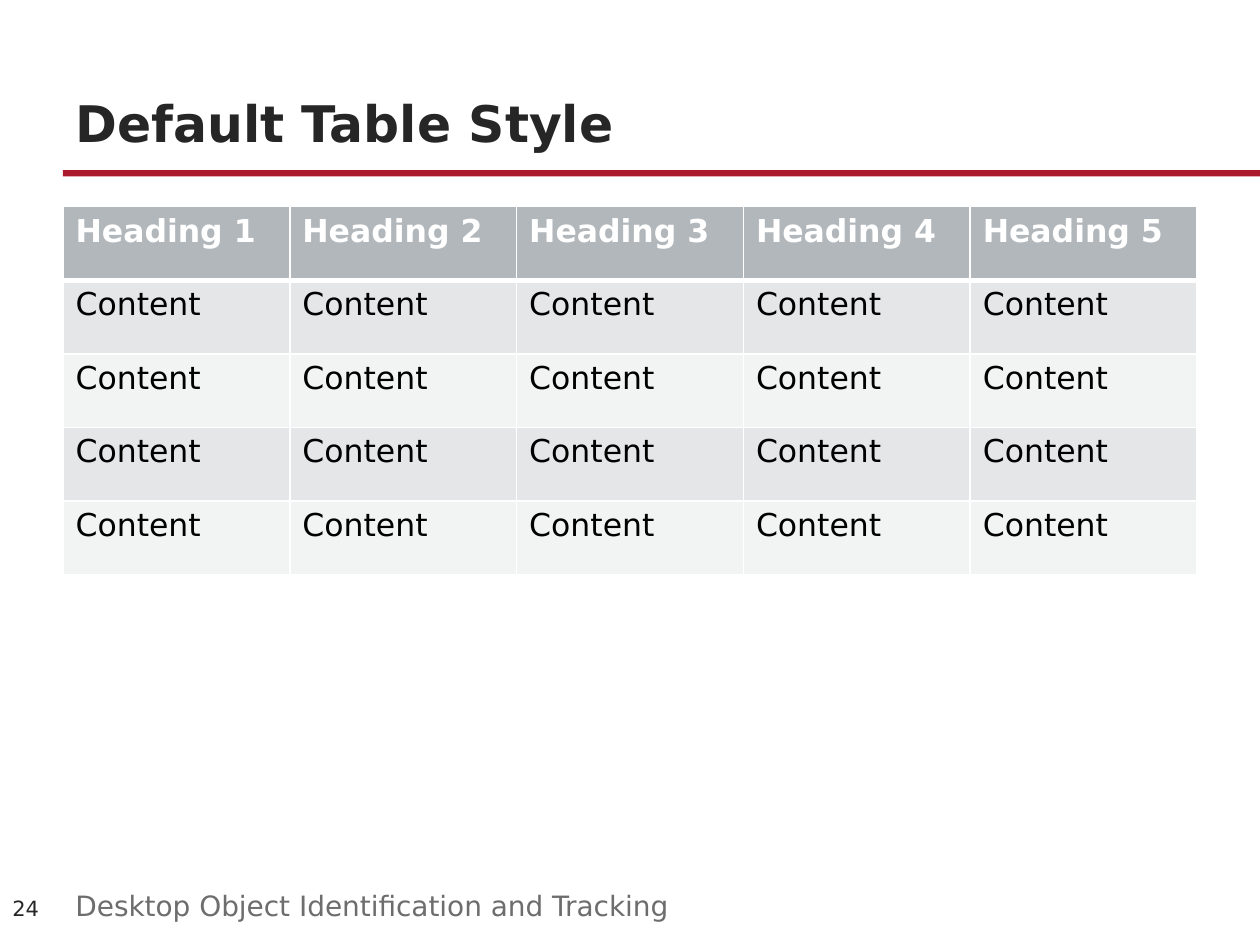
from dataclasses import dataclass

from lxml import etree
from pptx import Presentation
from pptx import util as u
from pptx.dml.color import RGBColor
from pptx.enum import shapes, text
from pptx.oxml.ns import qn


@dataclass(frozen=True)
class Theme:
    font: str = "DejaVu Sans"
    crimson: str = "AB192D"
    ink: str = "262626"
    muted: str = "6D6D6D"
    white: str = "FFFFFF"
    black: str = "000000"
    header: str = "B2B7BB"
    bands: tuple = ("E4E6E7", "F2F3F3")
    title_size: float = 28.8
    body_size: float = 18
    caption_size: float = 16
    number_size: float = 12


class SlideBuilder:
    """Places elements on a grid of half-inch columns and rows."""

    UNIT = u.Inches(0.5)

    def __init__(self, prs, theme):
        self.theme = theme
        self.s = prs.slides.add_slide(prs.slide_layouts[6])

    def grid(self, *lengths):
        return [round(n * self.UNIT) for n in lengths]

    def style(self, p, size, color, bold=False):
        for r in p.runs:
            r.font.name = self.theme.font
            r.font.size = u.Pt(size)
            r.font.bold = bold
            r.font.color.rgb = RGBColor.from_string(color)

    def bar(self, box, color):
        sp = self.s.shapes.add_shape(shapes.MSO_SHAPE.RECTANGLE, *self.grid(*box))
        sp.shadow.inherit = False
        sp.fill.solid()
        sp.fill.fore_color.rgb = RGBColor.from_string(color)
        sp.line.fill.background()

    def label(self, box, words, size, color, bold=False,
              anchor=text.MSO_ANCHOR.TOP):
        tf = self.s.shapes.add_textbox(*self.grid(*box)).text_frame
        tf.word_wrap = True
        tf.vertical_anchor = anchor
        tf.text = words
        self.style(tf.paragraphs[0], size, color, bold)

    def borders(self, cell, widths):
        """Draw white borders; widths are points for left, right, top, bottom."""
        props = cell._tc.get_or_add_tcPr()
        for i, (side, width) in enumerate(zip("LRTB", widths)):
            line = etree.Element(qn(f"a:ln{side}"), w=str(u.Pt(width)))
            fill = etree.SubElement(line, qn("a:solidFill"))
            etree.SubElement(fill, qn("a:srgbClr"), val=self.theme.white)
            props.insert(i, line)

    def table(self, box, rows):
        t = self.theme
        table = self.s.shapes.add_table(
            len(rows), len(rows[0]), *self.grid(*box)).table
        for i, row in enumerate(rows):
            heading = i == 0
            fill = t.header if heading else t.bands[(i - 1) % 2]
            for j, words in enumerate(row):
                cell = table.cell(i, j)
                cell.text = words
                cell.fill.solid()
                cell.fill.fore_color.rgb = RGBColor.from_string(fill)
                self.style(cell.text_frame.paragraphs[0], t.body_size,
                           t.white if heading else t.black, bold=heading)
                self.borders(cell, (1, 1, 3 if i == 1 else 1, 3 if heading else 1))


def main():
    prs = Presentation()
    prs.slide_width, prs.slide_height = u.Inches(10), u.Inches(7.5)
    t = Theme()
    slide = SlideBuilder(prs, t)

    slide.bar((1, 2.7, 19, 0.1), t.crimson)
    slide.label((1, 0.76, 18, 1.76), "Default Table Style", t.title_size,
                t.ink, bold=True, anchor=text.MSO_ANCHOR.BOTTOM)
    headings = [f"Heading {n}" for n in range(1, 6)]
    slide.table((1, 3.28, 18, 5.84), [headings] + [["Content"] * 5] * 4)
    slide.label((0, 13.98, 1, 0.86), "24", t.number_size, t.ink,
                anchor=text.MSO_ANCHOR.MIDDLE)
    slide.label((1, 14, 11.16, 0.66), "Desktop Object Identification and Tracking",
                t.caption_size, t.muted)

    prs.save("out.pptx")


if __name__ == "__main__":
    main()
